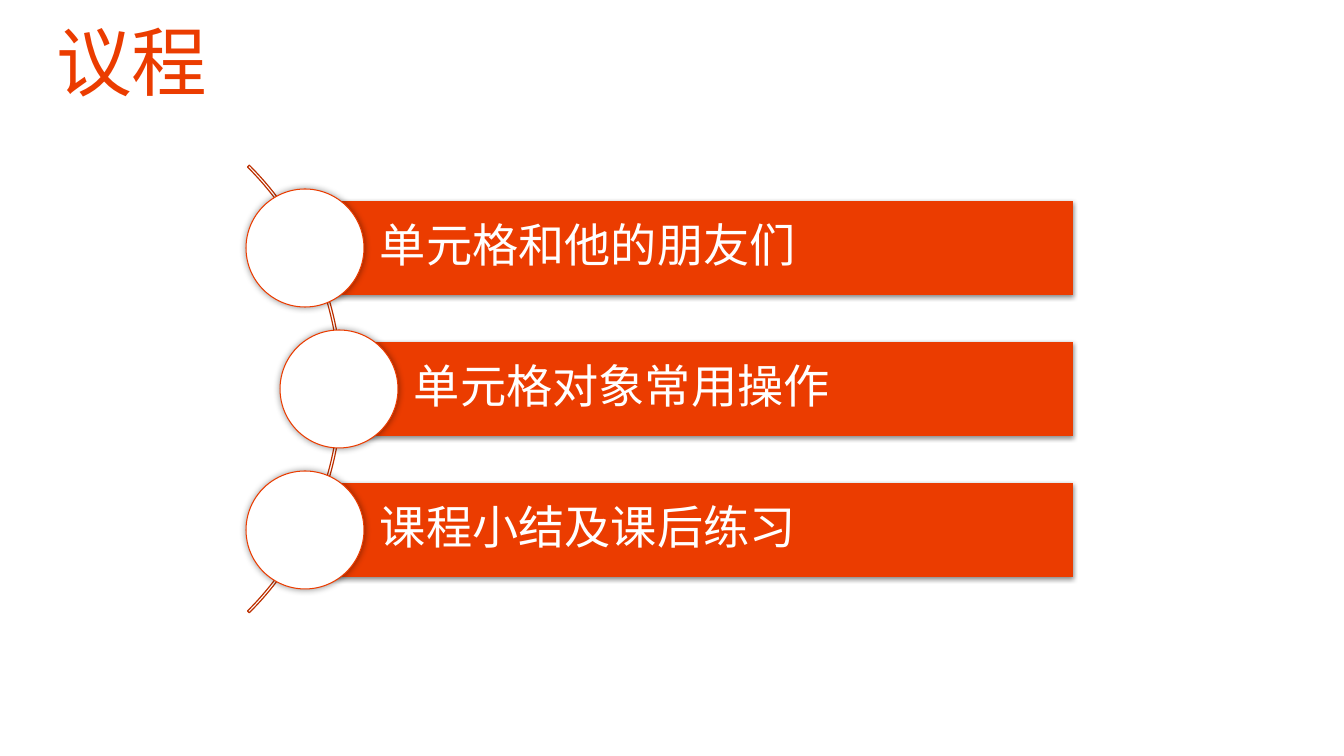
from dataclasses import dataclass

from lxml.etree import SubElement
from pptx import Presentation
from pptx.dml.color import RGBColor
from pptx.enum.shapes import MSO_SHAPE
from pptx.enum.text import MSO_ANCHOR, MSO_AUTO_SIZE, PP_ALIGN
from pptx.oxml.ns import qn
from pptx.util import Emu, Pt

SLIDE_WIDTH, SLIDE_HEIGHT = 1344, 756
EMU_PER_PX = 12192000 / SLIDE_WIDTH
TITLE_ONLY_LAYOUT = 5

AGENDA = ["单元格和他的朋友们", "单元格对象常用操作", "课程小结及课后练习"]
ITEM_PITCH = 141
ITEM_INDENTS = [0, 34, 0]
FIRST_CENTER_X, FIRST_CENTER_Y = 305, 248
BAR_RIGHT, BAR_HEIGHT = 1073, 94
CIRCLE_SIZE = 118
ARC_LEFT, ARC_SIZE = -291, 633


def px(length):
    return Emu(round(length * EMU_PER_PX))


@dataclass(frozen=True)
class Theme:
    accent: RGBColor = RGBColor(0xEB, 0x3C, 0x00)
    accent_dark: RGBColor = RGBColor(0xBC, 0x30, 0x00)
    white: RGBColor = RGBColor(0xFF, 0xFF, 0xFF)
    shadow: str = "000000"
    title_font: str = "Lato"
    body_font: str = "Noto Sans CJK SC"
    title_size: int = 54
    body_size: int = 33


class AgendaSlide:
    def __init__(self, slide, theme):
        self.slide = slide
        self.theme = theme

    def set_text(self, text_frame, text, font_name, size, color, margins):
        text_frame.text = text
        text_frame.word_wrap = True
        text_frame.auto_size = MSO_AUTO_SIZE.NONE
        (text_frame.margin_left, text_frame.margin_top,
         text_frame.margin_right, text_frame.margin_bottom) = map(px, margins)
        paragraph = text_frame.paragraphs[0]
        paragraph.alignment = PP_ALIGN.LEFT
        paragraph.line_spacing = 0.9
        run = paragraph.runs[0]
        run.font.name = font_name
        run.font.size = Pt(size)
        run.font.color.rgb = color
        properties = run.font._element
        SubElement(properties, qn("a:ea"), typeface=font_name)
        return properties

    def title(self, text, left, top, width, height):
        shape = self.slide.shapes.title
        shape.left, shape.top = px(left), px(top)
        shape.width, shape.height = px(width), px(height)
        properties = self.set_text(shape.text_frame, text, self.theme.title_font,
                                   self.theme.title_size, self.theme.accent, (0, 0, 0, 0))
        properties.set("spc", "-100")
        shape.text_frame.vertical_anchor = MSO_ANCHOR.TOP

    def shape(self, kind, left, top, width, height, fill=None, line=None, line_width=0.75):
        shape = self.slide.shapes.add_shape(kind, px(left), px(top), px(width), px(height))
        shape.shadow.inherit = False
        if fill is None:
            shape.fill.background()
        else:
            shape.fill.solid()
            shape.fill.fore_color.rgb = fill
        if line is None:
            shape.line.fill.background()
        else:
            shape.line.color.rgb = line
            shape.line.width = Pt(line_width)
        return shape

    def add_shadow(self, shape, opacity, blur, distance, angle):
        effects = shape._element.spPr.find(qn("a:effectLst"))
        shadow = SubElement(effects, qn("a:outerShdw"), blurRad=str(Pt(blur)),
                            dist=str(Pt(distance)), dir=str(angle * 60000),
                            algn="ctr", rotWithShape="0")
        color = SubElement(shadow, qn("a:srgbClr"), val=self.theme.shadow)
        SubElement(color, qn("a:alpha"), val=str(opacity * 1000))

    def arc(self, left, center_y, size):
        arc = self.shape(MSO_SHAPE.BLOCK_ARC, left, center_y - size / 2, size, size,
                         line=self.theme.accent_dark, line_width=0.85)
        for index, value in enumerate((189, 27, 0.004)):
            arc.adjustments[index] = value

    def bar(self, text, left, center_y):
        bar = self.shape(MSO_SHAPE.RECTANGLE, left, center_y - BAR_HEIGHT / 2,
                         BAR_RIGHT - left, BAR_HEIGHT, fill=self.theme.accent)
        self.add_shadow(bar, opacity=45, blur=3.5, distance=1.1, angle=90)
        self.set_text(bar.text_frame, text, self.theme.body_font,
                      self.theme.body_size, self.theme.white, (75, 9, 9, 9))
        bar.text_frame.vertical_anchor = MSO_ANCHOR.MIDDLE

    def circle(self, center_x, center_y):
        radius = CIRCLE_SIZE / 2
        circle = self.shape(MSO_SHAPE.OVAL, center_x - radius, center_y - radius,
                            CIRCLE_SIZE, CIRCLE_SIZE,
                            fill=self.theme.white, line=self.theme.accent)
        self.add_shadow(circle, opacity=40, blur=5, distance=0, angle=0)


def main():
    presentation = Presentation()
    presentation.slide_width = px(SLIDE_WIDTH)
    presentation.slide_height = px(SLIDE_HEIGHT)
    layout = presentation.slide_layouts[TITLE_ONLY_LAYOUT]
    agenda = AgendaSlide(presentation.slides.add_slide(layout), Theme())

    agenda.title("议程", 57, 25, 1229, 83)
    agenda.arc(ARC_LEFT, FIRST_CENTER_Y + ITEM_PITCH, ARC_SIZE)
    for index, (text, indent) in enumerate(zip(AGENDA, ITEM_INDENTS)):
        center_x = FIRST_CENTER_X + indent
        center_y = FIRST_CENTER_Y + index * ITEM_PITCH
        agenda.bar(text, center_x, center_y)
        agenda.circle(center_x, center_y)

    presentation.save("out.pptx")


if __name__ == "__main__":
    main()
